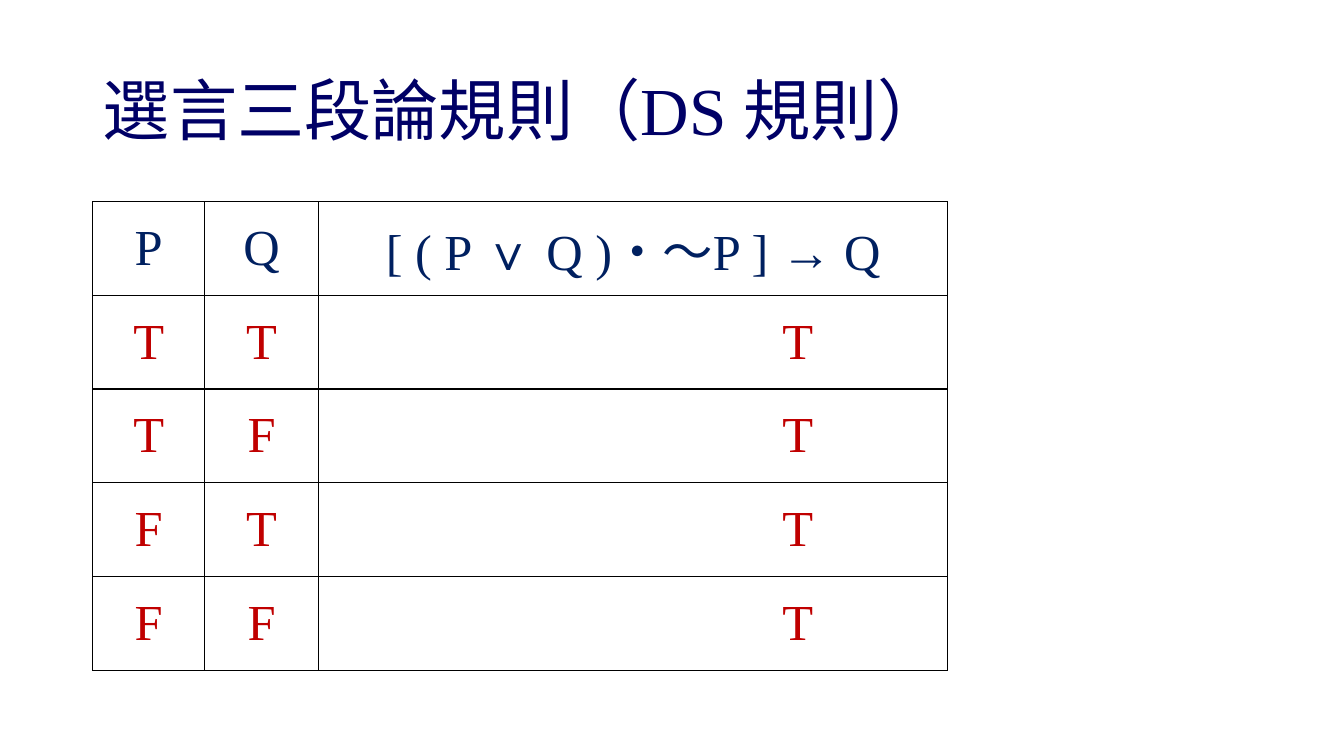
"""Build a slide with the truth table of the disjunctive syllogism rule."""
import pptx
import pptx.dml.color
import pptx.enum.text
import pptx.oxml
import pptx.oxml.ns
import pptx.util

Inches = pptx.util.Inches
ALIGN = pptx.enum.text.PP_ALIGN
MIDDLE = pptx.enum.text.MSO_ANCHOR.MIDDLE

TITLE = "選言三段論規則（DS 規則）"
HEADER = ("P", "Q", "[ ( P ∨ Q )・～P ] → Q")
TRUTH = [("T", "T", "T"), ("T", "F", "T"), ("F", "T", "T"), ("F", "F", "T")]
FONT = "Times New Roman"
NAVY, BLUE, RED, BLACK = "000066", "002060", "C00000", "000000"
LEFT, TABLE_TOP, ROW_HEIGHT = 0.92, 2, 0.93
COL_WIDTHS = (1.11, 1.13, 6.24)
RESULT_INDENT = 4.6


def rgb(color):
    """Return a colour object for a hex string."""
    return pptx.dml.color.RGBColor.from_string(color)


def write(tf, text, size=36, color=BLUE, align=ALIGN.CENTER, spacing=None):
    """Put one formatted paragraph into a text frame."""
    p = tf.paragraphs[0]
    p.alignment = align
    p.line_spacing = spacing
    r = p.add_run()
    r.text = text
    r.font.name = FONT
    r.font.size = pptx.util.Pt(size)
    r.font.color.rgb = rgb(color)


def add_borders(cell, color=BLACK, width=1):
    """Draw a solid line on each side of a cell."""
    tc_pr = cell._tc.get_or_add_tcPr()
    for i, side in enumerate("LRTB"):
        tc_pr.insert(i, pptx.oxml.parse_xml(
            f'<a:ln{side} {pptx.oxml.ns.nsdecls("a")} w="{pptx.util.Pt(width)}">'
            f'<a:solidFill><a:srgbClr val="{color}"/></a:solidFill></a:ln{side}>'))


prs = pptx.Presentation()
prs.slide_width, prs.slide_height = Inches(13.33), Inches(7.5)
s = prs.slides.add_slide(prs.slide_layouts[5])

sp = s.shapes.title
sp.left, sp.top, sp.width, sp.height = map(Inches, (LEFT, 0.4, 11.5, 1.45))
tf = sp.text_frame
tf.auto_size = pptx.enum.text.MSO_AUTO_SIZE.NONE
tf.vertical_anchor = MIDDLE
write(tf, TITLE, size=48, color=NAVY, align=ALIGN.LEFT, spacing=0.9)

rows = [HEADER] + TRUTH
table = s.shapes.add_table(
    len(rows), len(HEADER), Inches(LEFT), Inches(TABLE_TOP),
    Inches(sum(COL_WIDTHS)), Inches(ROW_HEIGHT * len(rows))).table
table.first_row = table.horz_banding = False
for column, width in zip(table.columns, COL_WIDTHS):
    column.width = Inches(width)

for i, values in enumerate(rows):
    table.rows[i].height = Inches(ROW_HEIGHT)
    for j, value in enumerate(values):
        cell = table.cell(i, j)
        cell.vertical_anchor = MIDDLE
        cell.fill.background()
        add_borders(cell)
        is_result = i > 0 and j == len(HEADER) - 1
        if is_result:
            cell.margin_left = Inches(RESULT_INDENT)
        write(cell.text_frame, value, color=RED if i else BLUE,
              align=ALIGN.LEFT if is_result else ALIGN.CENTER)

prs.save("out.pptx")
